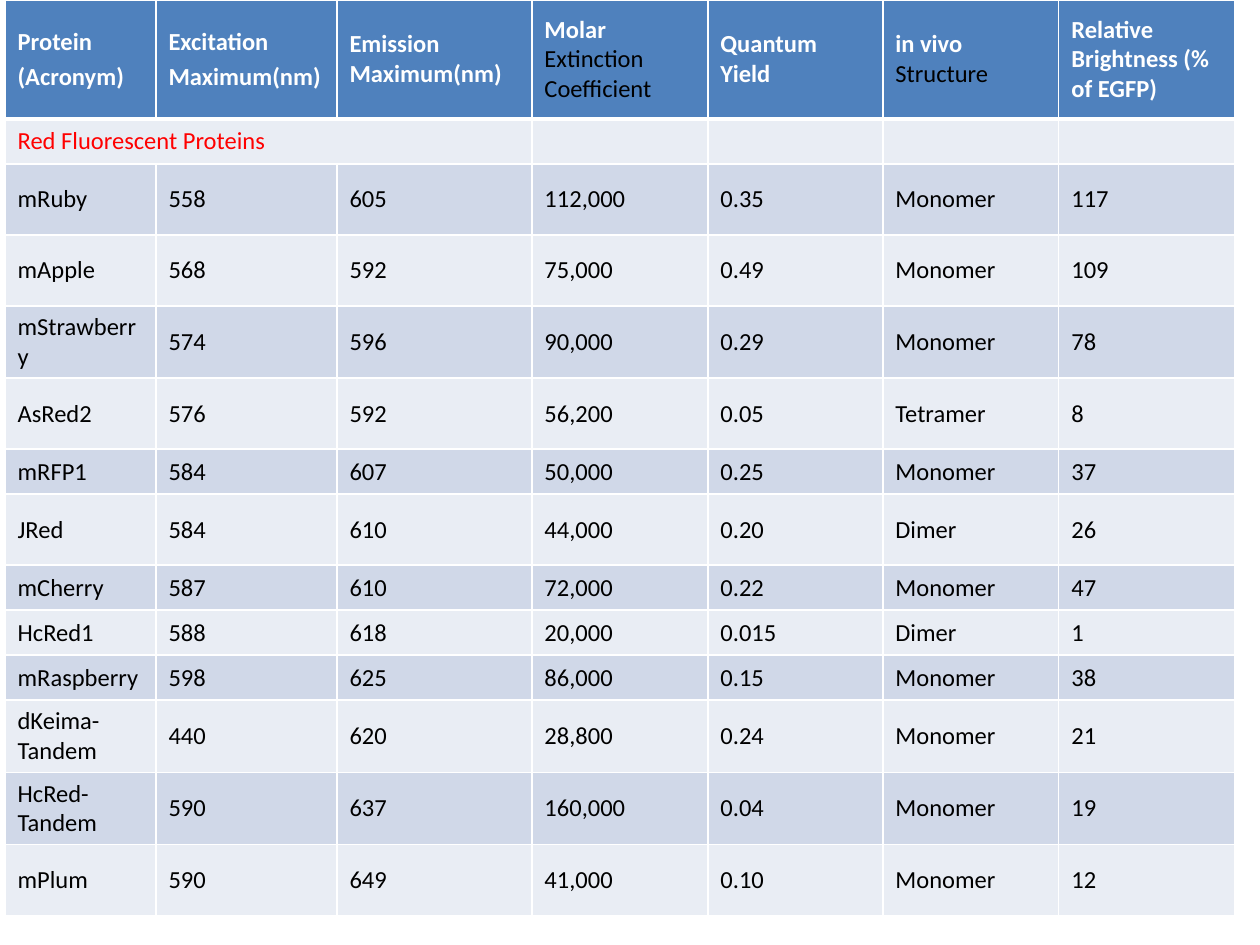
from dataclasses import dataclass

from pptx import Presentation
from pptx.dml.color import RGBColor
from pptx.enum.text import MSO_ANCHOR
from pptx.oxml import parse_xml
from pptx.oxml.ns import nsdecls, qn
from pptx.util import Emu, Pt
from lxml.etree import SubElement


@dataclass(frozen=True)
class Theme:
    """Colours and type sizes of the slide."""
    font: str = "Calibri"
    size: float = 14
    white: str = "FFFFFF"
    black: str = "000000"
    red: str = "FF0000"
    header: str = "4F81BD"
    light: str = "E9EDF4"
    dark: str = "D0D8E8"
    thin: int = 1
    thick: int = 3


T = Theme()
PX = 914400 // 126
TALL, SHORT = 71, 45
COL_WIDTHS = [151, 181, 195, 176, 175, 176, 176]
SECTION = "Red Fluorescent Proteins"

HEADERS = [
    [["Protein"], ["(Acronym)"]],
    [["Excitation"], ["Maximum(nm)"]],
    [["Emission Maximum(nm)"]],
    [["Molar ", "Extinction Coefficient"]],
    [["Quantum Yield"]],
    [["in vivo ", "Structure"]],
    [["Relative Brightness (% of EGFP)"]],
]

PROTEINS = [
    (TALL, "mRuby", "558", "605", "112,000", "0.35", "Monomer", "117"),
    (TALL, "mApple", "568", "592", "75,000", "0.49", "Monomer", "109"),
    (TALL, "mStrawberry", "574", "596", "90,000", "0.29", "Monomer", "78"),
    (TALL, "AsRed2", "576", "592", "56,200", "0.05", "Tetramer", "8"),
    (SHORT, "mRFP1", "584", "607", "50,000", "0.25", "Monomer", "37"),
    (TALL, "JRed", "584", "610", "44,000", "0.20", "Dimer", "26"),
    (SHORT, "mCherry", "587", "610", "72,000", "0.22", "Monomer", "47"),
    (SHORT, "HcRed1", "588", "618", "20,000", "0.015", "Dimer", "1"),
    (SHORT, "mRaspberry", "598", "625", "86,000", "0.15", "Monomer", "38"),
    (TALL, "dKeima-Tandem", "440", "620", "28,800", "0.24", "Monomer", "21"),
    (TALL, "HcRed-Tandem", "590", "637", "160,000", "0.04", "Monomer", "19"),
    (TALL, "mPlum", "590", "649", "41,000", "0.10", "Monomer", "12"),
]
ROW_HEIGHTS = [119, SHORT] + [height for height, *_ in PROTEINS]


def px(n):
    """Turn whole pixels into EMU."""
    return Emu(n * PX)


def add_text(p, text, color=T.black, bold=False):
    """Add one formatted run to a paragraph."""
    r = p.add_run()
    r.text = text
    r.font.name, r.font.size, r.font.bold = T.font, Pt(T.size), bold
    r.font.color.rgb = RGBColor.from_string(color)


def style_cell(cell, fill, top=T.thin, bottom=T.thin):
    """Set the fill, anchor and white borders of a cell."""
    cell.vertical_anchor = MSO_ANCHOR.MIDDLE
    cell.fill.solid()
    cell.fill.fore_color.rgb = RGBColor.from_string(fill)
    tcPr = cell._tc.get_or_add_tcPr()
    widths = {"lnL": T.thin, "lnR": T.thin, "lnT": top, "lnB": bottom}
    for i, (side, width) in enumerate(widths.items()):
        tcPr.insert(i, parse_xml(
            f'<a:{side} {nsdecls("a")} w="{Pt(width)}"><a:solidFill>'
            f'<a:srgbClr val="{T.white}"/></a:solidFill></a:{side}>'))


def fill_header(table):
    """Write the heading row, with plain black for second runs."""
    for c, paragraphs in enumerate(HEADERS):
        cell = table.cell(0, c)
        style_cell(cell, T.header, bottom=T.thick)
        tf = cell.text_frame
        for i, (lead, *rest) in enumerate(paragraphs):
            p = tf.add_paragraph() if i else tf.paragraphs[0]
            if i:
                p.space_before = Pt(0.2 * T.size)
            add_text(p, lead, color=T.white, bold=True)
            for text in rest:
                add_text(p, text)


def fill_section(table):
    """Write the section row, whose title spans three columns."""
    for c in range(len(COL_WIDTHS)):
        cell = table.cell(1, c)
        style_cell(cell, T.light, top=T.thick)
        p = cell.text_frame.paragraphs[0]
        if c == 0:
            add_text(p, SECTION, color=T.red)
        else:
            SubElement(p._p, qn("a:endParaRPr"), sz=str(T.size * 100))
    table.cell(1, 0).merge(table.cell(1, 2))


def fill_proteins(table):
    """Write the protein rows in alternating bands."""
    for i, (_, *values) in enumerate(PROTEINS):
        for c, text in enumerate(values):
            cell = table.cell(i + 2, c)
            style_cell(cell, T.light if i % 2 else T.dark)
            add_text(cell.text_frame.paragraphs[0], text)


def add_protein_table(s):
    """Add the table with its column and row sizes."""
    table = s.shapes.add_table(
        len(ROW_HEIGHTS), len(COL_WIDTHS), px(5), px(0),
        px(sum(COL_WIDTHS)), px(sum(ROW_HEIGHTS))).table
    for col, width in zip(table.columns, COL_WIDTHS):
        col.width = px(width)
    for row, height in zip(table.rows, ROW_HEIGHTS):
        row.height = px(height)
    return table


def main():
    """Build the slide and save it."""
    prs = Presentation()
    prs.slide_width, prs.slide_height = px(1260), px(945)
    s = prs.slides.add_slide(prs.slide_layouts[6])
    table = add_protein_table(s)
    fill_header(table)
    fill_section(table)
    fill_proteins(table)
    prs.save("out.pptx")


if __name__ == "__main__":
    main()
